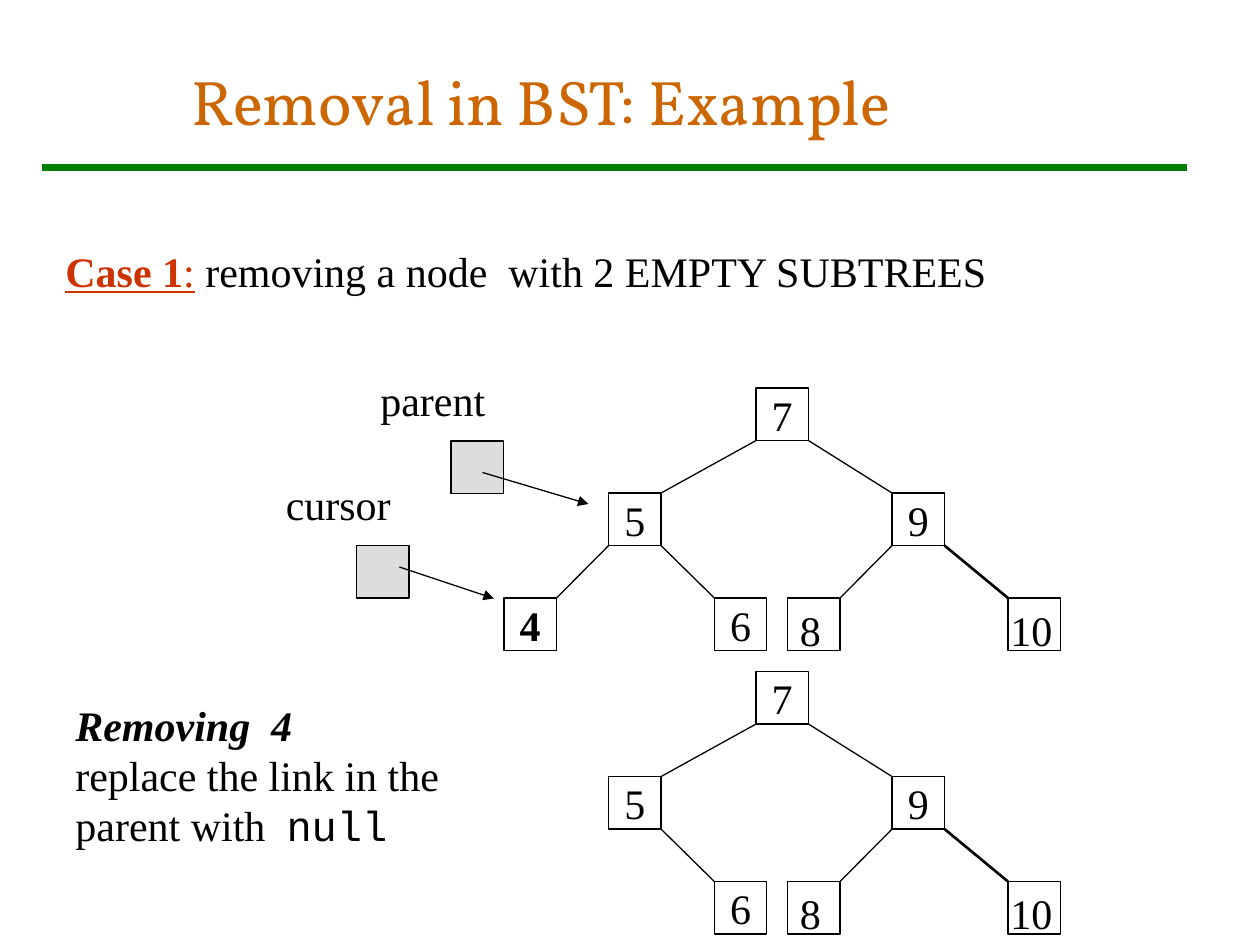
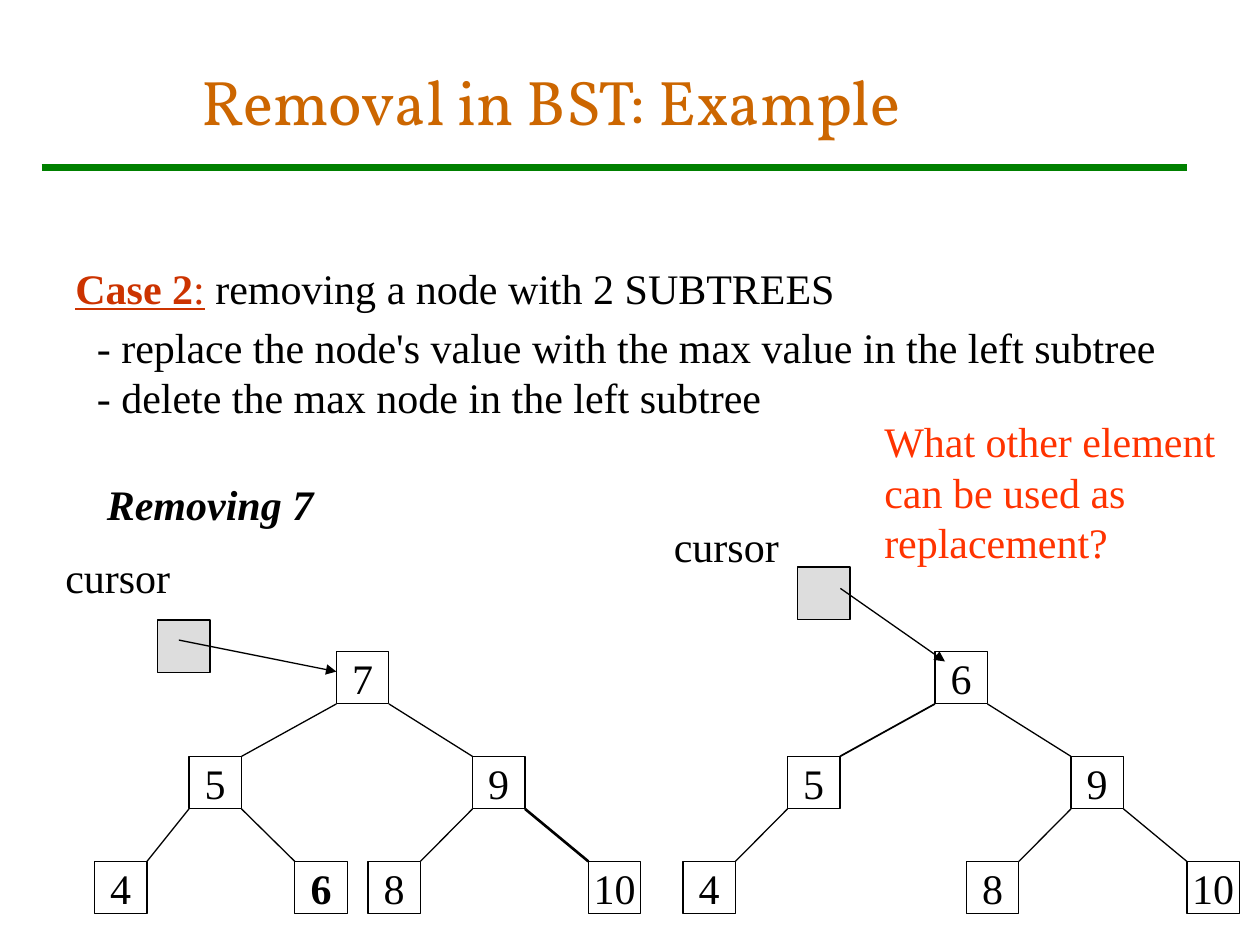
from dataclasses import dataclass

from lxml import etree
from pptx import Presentation
from pptx.dml.color import RGBColor
from pptx.enum.shapes import MSO_CONNECTOR, MSO_SHAPE
from pptx.enum.text import MSO_ANCHOR, PP_ALIGN
from pptx.oxml.ns import qn
from pptx.util import Inches, Pt

STRAIGHT = MSO_CONNECTOR.STRAIGHT
RECTANGLE = MSO_SHAPE.RECTANGLE
MIDDLE = MSO_ANCHOR.MIDDLE
TOP = MSO_ANCHOR.TOP
CENTER = PP_ALIGN.CENTER

COLORS = {
    "ink": "000000",
    "title": "CC6600",
    "rule": "008000",
    "case": "CC3300",
    "question": "FF3300",
    "pointer": "DDDDDD",
}
SERIF = "Times New Roman"
MONO = "Courier New"
TITLE_FONT = "Vollkorn"
BOX = 5 / 12
LEVEL = 2 * BOX
THIN = 0.75
THICK = 1.5


@dataclass
class Run:
    text: str
    color: str = "ink"
    bold: bool = False
    italic: bool = False
    underline: bool = False
    font: str = SERIF
    size: int = 24


@dataclass
class TextBlock:
    left: float
    top: float
    width: float
    height: float
    paragraphs: list[list[Run]]
    wrap: bool = True
    anchor: MSO_ANCHOR = TOP
    spacing: float | None = None


@dataclass
class Node:
    value: str
    dx: float
    level: int
    parent: str = ""
    edge: float = THIN
    bold: bool = False
    label_dx: float = 0
    label_width: float = 0


@dataclass
class Pointer:
    name: str
    name_at: tuple[float, float]
    box_at: tuple[float, float]
    start: tuple[float, float]
    end: tuple[float, float]


def rgb(name: str) -> RGBColor:
    return RGBColor.from_string(COLORS[name])


def format_run(r, run: Run) -> None:
    r.font.name = run.font
    r.font.size = Pt(run.size)
    r.font.bold = run.bold
    r.font.italic = run.italic
    r.font.underline = run.underline
    r.font.color.rgb = rgb(run.color)


def draw_text(s, block: TextBlock) -> None:
    sp = s.shapes.add_textbox(Inches(block.left), Inches(block.top),
                              Inches(block.width), Inches(block.height))
    tf = sp.text_frame
    tf.word_wrap = block.wrap
    tf.vertical_anchor = block.anchor
    for i, runs in enumerate(block.paragraphs):
        p = tf.add_paragraph() if i else tf.paragraphs[0]
        p.line_spacing = block.spacing
        for run in runs:
            r = p.add_run()
            r.text = run.text
            format_run(r, run)


def draw_line(s, start: tuple[float, float], end: tuple[float, float],
              width: float = THIN, color: str = "ink", arrow: bool = False) -> None:
    line = s.shapes.add_connector(STRAIGHT, *map(Inches, start + end))
    line.line.width = Pt(width)
    line.line.color.rgb = rgb(color)
    if arrow:
        etree.SubElement(line.line._get_or_add_ln(), qn("a:tailEnd"), type="triangle")
    etree.SubElement(line._element.spPr, qn("a:effectLst"))


def draw_box(s, left: float, top: float, fill: str = ""):
    sp = s.shapes.add_shape(RECTANGLE, Inches(left), Inches(top),
                            Inches(BOX), Inches(BOX))
    sp.shadow.inherit = False
    if fill:
        sp.fill.solid()
        sp.fill.fore_color.rgb = rgb(fill)
    else:
        sp.fill.background()
    sp.line.color.rgb = rgb("ink")
    sp.line.width = Pt(THIN)
    return sp


def draw_tree(s, left: float, top: float, nodes: list[Node]) -> None:
    places = {n.value: (left + n.dx, top + n.level * LEVEL) for n in nodes}
    for n in nodes:
        x, y = places[n.value]
        if n.parent:
            px, py = places[n.parent]
            is_left = x < px
            draw_line(s, (px if is_left else px + BOX, py + BOX),
                      (x + BOX if is_left else x, y), n.edge)
        sp = draw_box(s, x, y)
        run = Run(n.value, bold=n.bold)
        if n.label_width:
            draw_text(s, TextBlock(x + n.label_dx, y, n.label_width, 0.5, [[run]]))
            continue
        tf = sp.text_frame
        tf.word_wrap = False
        tf.vertical_anchor = MIDDLE
        p = tf.paragraphs[0]
        p.text = n.value
        p.alignment = CENTER
        format_run(p.runs[0], run)


def draw_pointer(s, ptr: Pointer) -> None:
    draw_text(s, TextBlock(*ptr.name_at, 1.03, 0.5, [[Run(ptr.name)]], wrap=False))
    draw_box(s, *ptr.box_at, "pointer")
    draw_line(s, ptr.start, ptr.end, arrow=True)


def add_slide(prs, title_left: float):
    s = prs.slides.add_slide(prs.slide_layouts[6])
    draw_line(s, (0.33, 1.33), (9.42, 1.33), 4, "rule")
    title = Run("Removal in BST: Example", "title", font=TITLE_FONT, size=36)
    draw_text(s, TextBlock(title_left, 0.17, 8.5, 1.25, [[title]], anchor=MIDDLE))
    return s


def case_heading(number: int, text: str) -> list[Run]:
    return [Run(f"Case {number}", "case", bold=True, underline=True),
            Run(":", "case", underline=True), Run(f" {text}")]


def build_empty_subtrees(prs) -> None:
    s = add_slide(prs, 1.42)
    remaining = [
        Node("7", 0, 0),
        Node("5", -1.17, 1, "7"),
        Node("9", 1.08, 1, "7"),
        Node("6", -0.33, 2, "5"),
        Node("8", 0.25, 2, "9", label_width=0.36),
        Node("10", 2, 2, "9", THICK, label_dx=-0.08, label_width=0.6),
    ]
    draw_tree(s, 6, 3.08, remaining + [Node("4", -2, 2, "5", bold=True)])
    draw_tree(s, 6, 5.33, remaining)
    heading = case_heading(1, "removing a node  with 2 EMPTY SUBTREES")
    draw_text(s, TextBlock(0.42, 1.9, 7.52, 0.5, [heading], wrap=False))
    draw_pointer(s, Pointer("parent", (2.92, 2.92), (3.58, 3.5), (3.83, 3.75), (4.67, 4)))
    draw_pointer(s, Pointer("cursor", (2.17, 3.75), (2.83, 4.33), (3.17, 4.5), (3.92, 4.75)))
    draw_text(s, TextBlock(0.5, 5.5, 3.58, 1.7, [
        [Run("Removing  4", bold=True, italic=True)],
        [Run("replace the link in the parent with  "), Run("null", font=MONO)],
    ]))


def build_two_subtrees(prs) -> None:
    s = add_slide(prs, 1.5)
    heading = case_heading(2, "removing a node with 2 SUBTREES")
    draw_text(s, TextBlock(0.5, 2.08, 9.08, 0.46, [heading], spacing=0.9))
    draw_text(s, TextBlock(0.67, 2.5, 9.08, 0.9, [
        [Run("- replace the node's value with the max value in the left subtree")],
        [Run("- delete the max node in the left subtree")],
    ]))
    draw_text(s, TextBlock(0.75, 3.75, 2.01, 0.5,
                           [[Run("Removing 7", bold=True, italic=True)]]))
    draw_tree(s, 2.67, 5.17, [
        Node("7", 0, 0),
        Node("5", -1.17, 1, "7"),
        Node("9", 1.08, 1, "7"),
        Node("4", -1.92, 2, "5"),
        Node("6", -0.33, 2, "5", bold=True),
        Node("8", 0.25, 2, "9"),
        Node("10", 2, 2, "9", THICK),
    ])
    draw_tree(s, 7.42, 5.17, [
        Node("6", 0, 0),
        Node("5", -1.17, 1, "6", 1),
        Node("9", 1.08, 1, "6"),
        Node("4", -2, 2, "5"),
        Node("8", 0.25, 2, "9"),
        Node("10", 2, 2, "9"),
    ])
    draw_pointer(s, Pointer("cursor", (0.42, 4.33), (1.25, 4.92), (1.42, 5.08), (2.67, 5.33)))
    draw_pointer(s, Pointer("cursor", (5.25, 4.08), (6.33, 4.5), (6.67, 4.67), (7.5, 5.25)))
    question = ["What other element", "can be used as", "replacement?"]
    draw_text(s, TextBlock(6.92, 3.25, 2.83, 1.3,
                           [[Run(line, "question")] for line in question], wrap=False))


def main() -> None:
    prs = Presentation()
    prs.slide_width = Inches(10)
    prs.slide_height = Inches(7.5)
    build_empty_subtrees(prs)
    build_two_subtrees(prs)
    prs.save("out.pptx")


if __name__ == "__main__":
    main()
